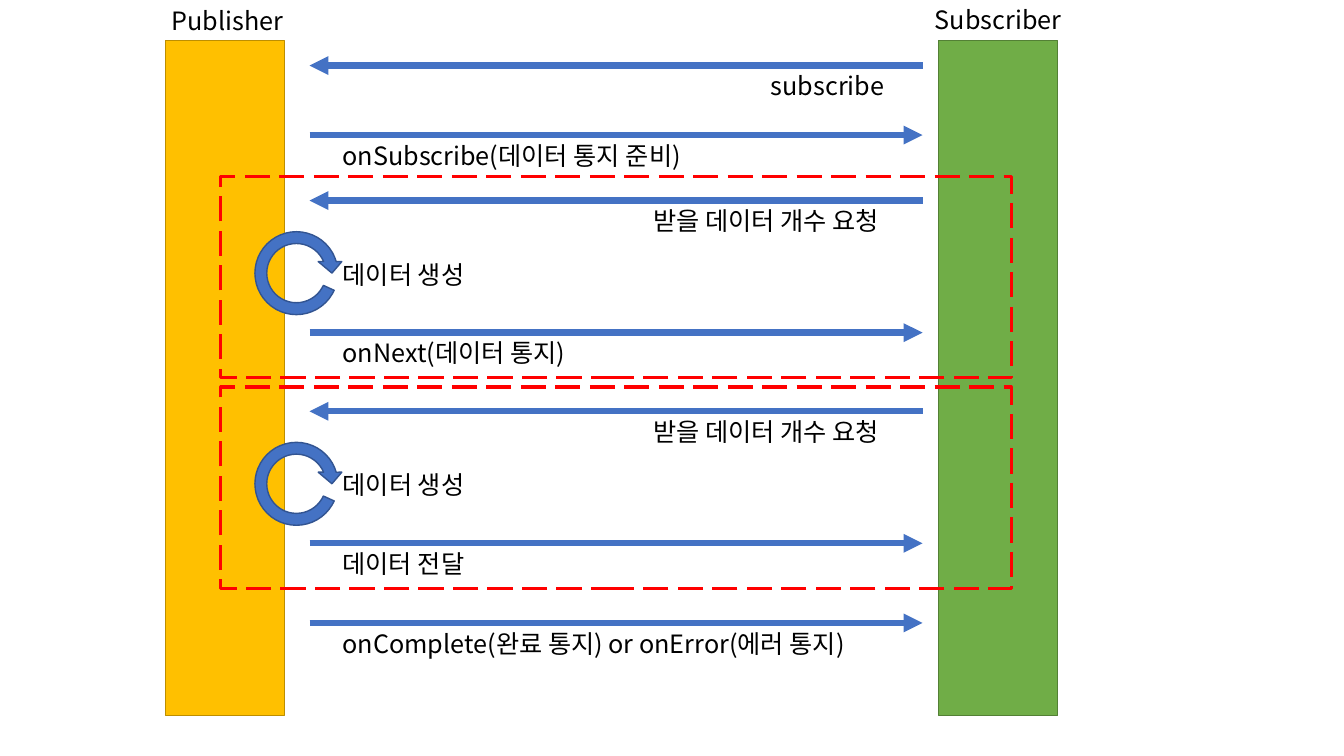
from lxml.etree import SubElement
from pptx import Presentation
from pptx.dml.color import RGBColor
from pptx.enum.dml import MSO_LINE
from pptx.enum.shapes import MSO_CONNECTOR, MSO_SHAPE
from pptx.enum.text import MSO_AUTO_SIZE, PP_ALIGN
from pptx.oxml.ns import qn
from pptx.util import Inches, Pt

FONT = "Noto Sans CJK KR"
BLUE = "4472C4"
ARROW_LEFT, ARROW_RIGHT = 3.07, 9.15
LABEL_LEFT, LABEL_WIDTH, LABEL_HEIGHT = 3.3, 5.57, 0.4
LANE_WIDTH, HEADING_WIDTH = 1.18, 1.67

presentation = Presentation()
presentation.slide_width = Inches(13.33)
presentation.slide_height = Inches(7.5)
slide = presentation.slides.add_slide(presentation.slide_layouts[6])


def add_outlined(kind, left, top, width, height, fill, line, line_width):
    shape = slide.shapes.add_shape(kind, Inches(left), Inches(top), Inches(width), Inches(height))
    shape.shadow.inherit = False
    if fill:
        shape.fill.solid()
        shape.fill.fore_color.rgb = RGBColor.from_string(fill)
    else:
        shape.fill.background()
    shape.line.color.rgb = RGBColor.from_string(line)
    shape.line.width = Pt(line_width)
    return shape


def add_label(text, left, top, width, alignment):
    box = slide.shapes.add_textbox(Inches(left), Inches(top), Inches(width), Inches(LABEL_HEIGHT))
    box.text_frame.word_wrap = True
    box.text_frame.auto_size = MSO_AUTO_SIZE.SHAPE_TO_FIT_TEXT
    paragraph = box.text_frame.paragraphs[0]
    paragraph.text = text
    paragraph.alignment = alignment
    paragraph.font.name = FONT
    paragraph.font.size = Pt(18)
    paragraph.font.color.rgb = RGBColor.from_string("000000")
    default_properties = paragraph._p.get_or_add_pPr().find(qn("a:defRPr"))
    SubElement(default_properties, qn("a:ea")).set("typeface", FONT)


lanes = [
    (" Publisher", 1.64, 0, "FFC000", "BD8E00"),
    ("Subscriber", 9.31, -0.01, "70AD47", "538035"),
]
for name, left, heading_top, fill, line in lanes:
    add_outlined(MSO_SHAPE.RECTANGLE, left, 0.4, LANE_WIDTH, 6.7, fill, line, 1)
    heading_left = left + (LANE_WIDTH - HEADING_WIDTH) / 2
    add_label(name, heading_left, heading_top, HEADING_WIDTH, PP_ALIGN.CENTER)

messages = [
    (0.65, "to publisher", " subscribe"),
    (1.34, "to subscriber", "onSubscribe(데이터 통지 준비)"),
]
cycles = [(1.75, "onNext(데이터 통지)"), (3.84, "데이터 전달")]
for top, reply in cycles:
    messages.append((top + 0.24, "to publisher", "받을 데이터 개수 요청 "))
    messages.append((top + 1.55, "to subscriber", reply))
messages.append((6.18, "to subscriber", "onComplete(완료 통지) or onError(에러 통지)"))

for top, direction, text in messages:
    arrow = slide.shapes.add_connector(
        MSO_CONNECTOR.STRAIGHT, Inches(ARROW_LEFT), Inches(top), Inches(ARROW_RIGHT), Inches(top)
    )
    arrow.line.color.rgb = RGBColor.from_string(BLUE)
    arrow.line.width = Pt(4.5)
    to_publisher = direction == "to publisher"
    arrow_end = "a:headEnd" if to_publisher else "a:tailEnd"
    SubElement(arrow.line._get_or_add_ln(), qn(arrow_end)).set("type", "triangle")
    SubElement(arrow._element.spPr, qn("a:effectLst"))
    alignment = PP_ALIGN.RIGHT if to_publisher else PP_ALIGN.LEFT
    add_label(text, LABEL_LEFT, top, LABEL_WIDTH, alignment)

for top, reply in cycles:
    loop = add_outlined(MSO_SHAPE.CIRCULAR_ARROW, 2.47, top + 0.49, 0.94, 0.94, BLUE, "325491", 1)
    for index, value in enumerate([0.125, 11.423, 204.577, 14.655, 0.125]):
        loop.adjustments[index] = value
    add_label("데이터 생성", LABEL_LEFT, top + 0.77, 1.59, PP_ALIGN.LEFT)
    frame = add_outlined(MSO_SHAPE.RECTANGLE, 2.19, top, 7.84, 2, None, "FF0000", 2.25)
    frame.line.dash_style = MSO_LINE.LONG_DASH

presentation.save("out.pptx")
